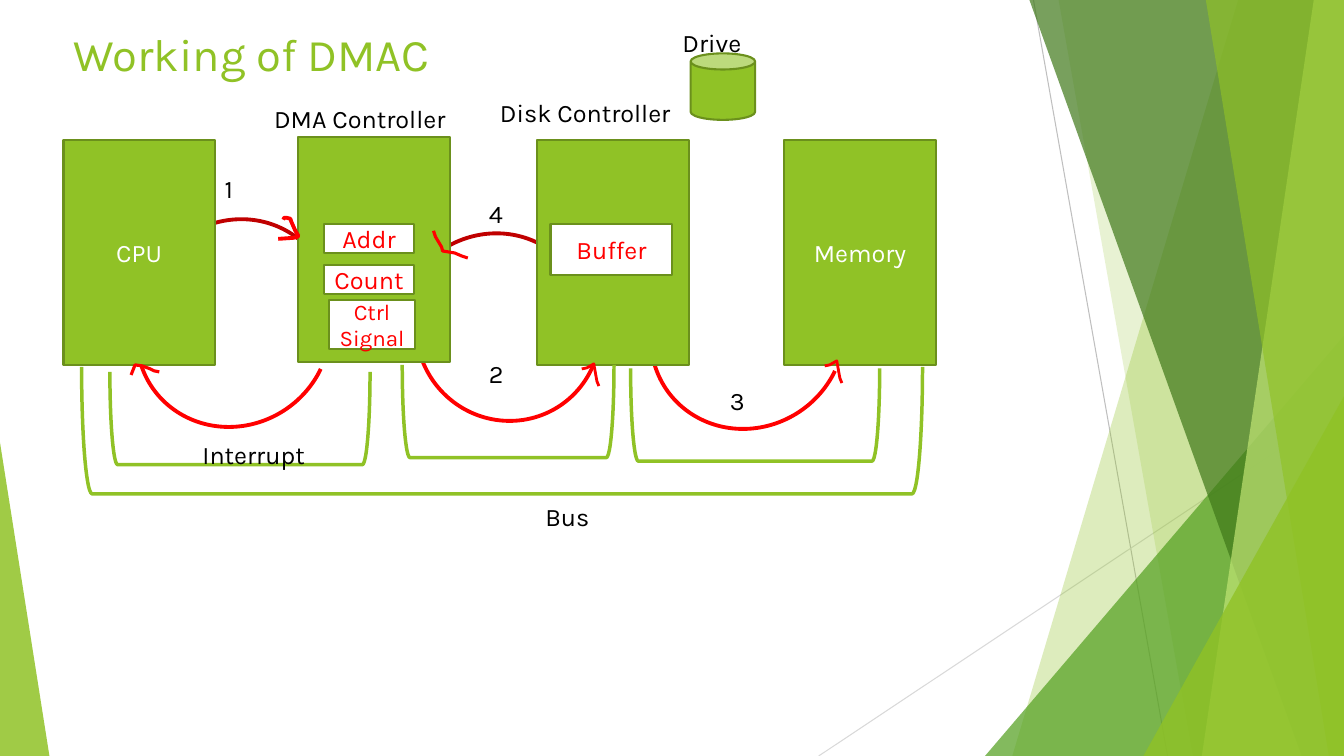
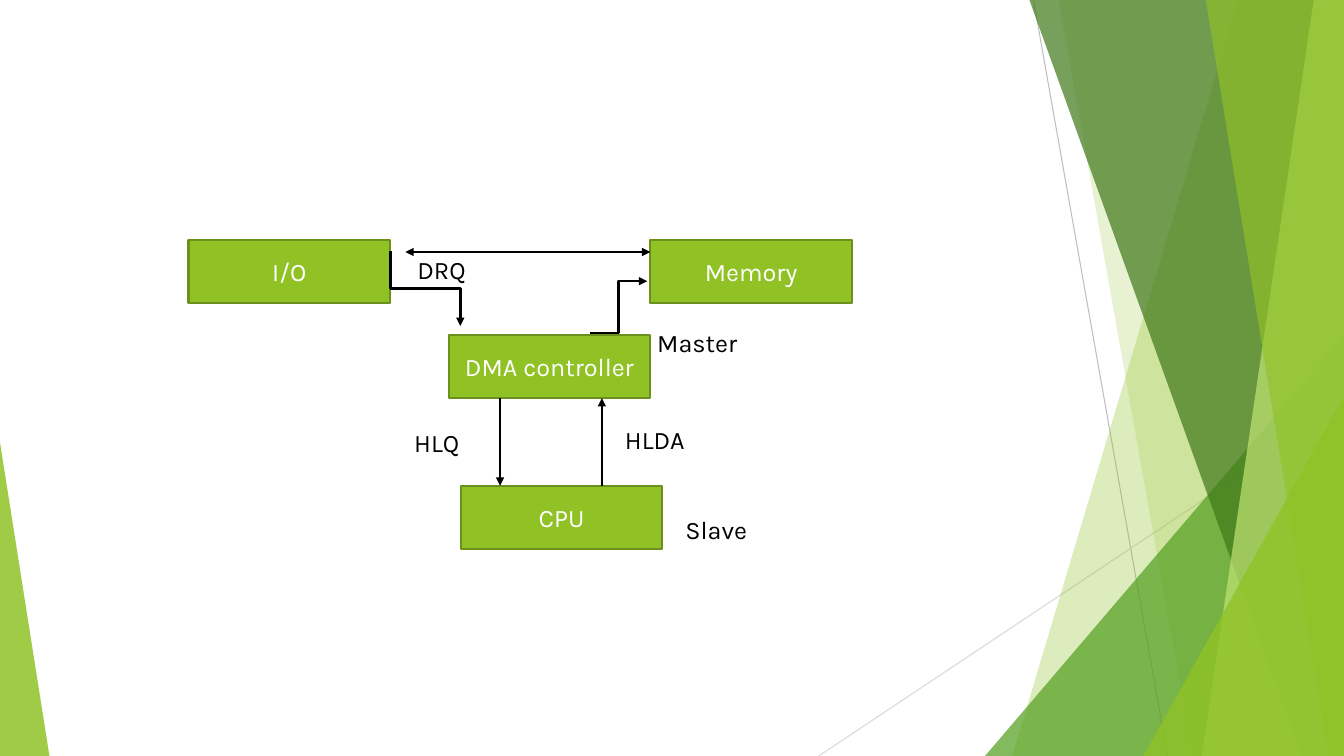
from lxml.etree import SubElement
from pptx import Presentation
from pptx.dml.color import RGBColor
from pptx.enum.shapes import MSO_CONNECTOR as CONN, MSO_SHAPE as SHAPE
from pptx.enum.text import MSO_ANCHOR as ANCHOR, PP_ALIGN as ALIGN
from pptx.oxml.ns import qn
from pptx.shapes.connector import Connector
from pptx.util import Inches, Pt

FONT = "Karla"
GREEN, EDGE = "90C226", "6B901C"
RED, DARK_RED = "FF0000", "C00000"
BLACK, WHITE = "000000", "FFFFFF"
W, H = 13.33, 7.5
rgb = RGBColor.from_string


def paint(sp, fill=None, line=None, width=1.5):
    if line:
        sp.line.color.rgb = rgb(line)
        sp.line.width = Pt(width)
    else:
        sp.line.fill.background()
    if isinstance(sp, Connector):
        SubElement(sp._element.spPr, qn("a:effectLst"))
        return
    sp.shadow.inherit = False
    if fill:
        sp.fill.solid()
        sp.fill.fore_color.rgb = rgb(fill)
    else:
        sp.fill.background()


def write(sp, text, color=BLACK, size=18, align=ALIGN.LEFT, anchor=ANCHOR.TOP):
    tf = sp.text_frame
    tf.word_wrap = True
    tf.vertical_anchor = anchor
    p = tf.paragraphs[0]
    p.alignment = align
    r = p.add_run()
    r.text = text
    r.font.name = FONT
    r.font.size = Pt(size)
    r.font.color.rgb = rgb(color)


prs = Presentation()
prs.slide_width, prs.slide_height = Inches(W), Inches(H)
blank = prs.slide_layouts[6]
work, signals = slides = [prs.slides.add_slide(blank) for _ in range(2)]

rays = [
    (10.25, 0, 11.58, H, "BFBFBF"),
    (W, 4.03, 8.12, H, "D9D9D9"),
]
# top x, bottom x, colour, opacity for bands; left, top, width, height, tip for triangles
bands = [
    ("band", (12.28, 10.04), GREEN, 30),
    ("band", (10.5, 11.83), GREEN, 20),
    ("triangle", (9.77, 3.33, 3.56, 4.17, 1), "54A021", 72),
    ("band", (10.21, 12.91), "3F7819", 70),
    ("band", (13.03, 11.92), "C0E474", 70),
    ("band", (11.96, 13.18), GREEN, 65),
    ("triangle", (11.34, 3.93, 1.99, 3.57, 1), GREEN, 80),
    ("triangle", (0, 4.39, 0.49, 3.11, 0), GREEN, 85),
]
for s in slides:
    for x1, y1, x2, y2, color in rays:
        cx = s.shapes.add_connector(CONN.STRAIGHT, *map(Inches, (x1, y1, x2, y2)))
        paint(cx, line=color, width=0.75)
    for kind, geometry, color, opacity in bands:
        if kind == "band":
            top, bottom = map(Inches, geometry)
            fb = s.shapes.build_freeform(top, 0)
            fb.add_line_segments([(Inches(W), 0), (Inches(W), Inches(H)), (bottom, Inches(H))])
            sp = fb.convert_to_shape()
        else:
            *frame, tip = geometry
            sp = s.shapes.add_shape(SHAPE.ISOSCELES_TRIANGLE, *map(Inches, frame))
            sp.adjustments[0] = tip
        paint(sp, color)
        clr = sp._element.spPr.find(qn("a:solidFill")).find(qn("a:srgbClr"))
        SubElement(clr, qn("a:alpha")).set("val", str(opacity * 1000))

arcs = [
    (3.9, 2.34, 1.95, 314.9, DARK_RED),
    (1.37, 2.2, 1.95, 314.9, DARK_RED),
    (1.34, 2.37, 1.95, 146.6, RED),
    (4.13, 2.33, 1.82, 146.6, RED),
    (6.44, 2.39, 1.95, 146.6, RED),
]
blocks = [
    (0.63, 1.39, 1.5, 2.23, "CPU", GREEN, 18),
    (2.96, 1.36, 1.5, 2.23, "", GREEN, 18),
    (5.33, 1.39, 1.5, 2.23, "", GREEN, 18),
    (7.78, 1.39, 1.5, 2.23, "Memory", GREEN, 18),
    (3.21, 2.22, 0.9, 0.29, "Addr", WHITE, 18),
    (3.21, 2.63, 0.9, 0.29, "Count", WHITE, 18),
    (3.26, 2.98, 0.86, 0.48, "Ctrl Signal", WHITE, 16),
    (5.46, 2.22, 1.21, 0.51, "Buffer", WHITE, 18),
]
chip_blocks = [
    (1.87, 2.38, 2, 0.63, "I/O", GREEN, 18),
    (6.45, 2.38, 2, 0.63, "Memory", GREEN, 18),
    (4.45, 3.32, 2, 0.63, "DMA controller", GREEN, 18),
    (4.57, 4.82, 2, 0.63, "CPU", GREEN, 18),
]
brackets = [
    (1.92, 2.86, 0.92, 2.58),
    (4.58, 3.03, 0.92, 2.1),
    (7.03, 2.88, 0.92, 2.47),
    (4.35, 0.1, 1.26, 8.34),
]
work_labels = [
    (2.62, 0.98, 2.24, "DMA Controller"),
    (4.86, 0.92, 2.24, "Disk Controller"),
    (6.67, 0.22, 2.24, "Drive"),
    (1.91, 4.31, 1.81, "Interrupt"),
    (2.13, 1.67, 0.59, "1"),
    (4.75, 3.51, 0.59, "2"),
    (7.14, 3.77, 0.59, "3"),
    (4.75, 1.92, 0.59, "4"),
    (5.31, 4.92, 1.81, "Bus"),
]
signal_labels = [
    (4.04, 2.47, 1.41, "DRQ"),
    (4.01, 4.19, 1.51, "HLQ"),
    (6.1, 4.16, 1.51, "HLDA"),
    (6.7, 5.05, 1.51, "Slave"),
    (6.42, 3.2, 1.51, "Master"),
]
hook = [(0, 0.05), (0.05, 0.04), (0.12, 0), (0.15, 0.17), (0.17, 0.22)]
tips = [
    (2.76, 2.16, 2.75, [(0, 0.21), (0.15, 0.2), (0.19, 0.19), (0.2, 0.18), (0.17, 0.13),
                        (0.13, 0.04), (0.12, 0.01), (0.08, 0), (0.06, 0), (0.05, 0.02)]),
    (5.77, 3.61, 2, hook),
    (8.18, 3.58, 2, hook),
    (4.3, 2.29, 2.25, [(0, 0), (0.02, 0.06), (0.08, 0.16), (0.09, 0.2), (0.21, 0.22),
                       (0.28, 0.25), (0.34, 0.27)]),
    (1.3, 3.62, 2.25, [(0, 0.1), (0.02, 0.05), (0.04, 0), (0.11, 0.01), (0.19, 0.04),
                       (0.23, 0.06), (0.28, 0.07)]),
]

for x, y, w, turn, color in arcs:
    sp = work.shapes.add_shape(SHAPE.ARC, *map(Inches, (x, y, w, 1.85)))
    sp.adjustments[0], sp.adjustments[1] = 141.75, 9.769
    sp.rotation = turn
    paint(sp, line=color, width=2.75)

title = work.shapes.add_textbox(*map(Inches, (0.63, 0.21, 9.4, 0.66)))
write(title, "Working of DMAC", GREEN, 32.4)

for s, items in ((work, blocks), (signals, chip_blocks)):
    for x, y, w, h, text, fill, size in items:
        sp = s.shapes.add_shape(SHAPE.RECTANGLE, *map(Inches, (x, y, w, h)))
        paint(sp, fill, EDGE)
        if text:
            color = WHITE if fill == GREEN else RED
            write(sp, text, color, size, ALIGN.CENTER, ANCHOR.MIDDLE)

for frame in brackets:
    sp = work.shapes.add_shape(SHAPE.LEFT_BRACKET, *map(Inches, frame))
    sp.rotation = 270
    paint(sp, line=GREEN, width=2.5)

drive = work.shapes.add_shape(SHAPE.CAN, *map(Inches, (6.85, 0.53, 0.64, 0.66)))
paint(drive, GREEN, EDGE)

for x, y, width, points in tips:
    (x0, y0), *rest = [(Inches(x + dx), Inches(y + dy)) for dx, dy in points]
    fb = work.shapes.build_freeform(x0, y0)
    fb.add_line_segments(rest, close=False)
    paint(fb.convert_to_shape(), line=RED, width=width)

for s, items in ((work, work_labels), (signals, signal_labels)):
    for x, y, w, text in items:
        write(s.shapes.add_textbox(*map(Inches, (x, y, w, 0.4))), text)

arrows = [
    (CONN.ELBOW, (4.59, 2.52, 3.85, 3.21), 1.75, 270, ["tailEnd"]),
    (CONN.STRAIGHT, (4.96, 3.95, 4.96, 4.82), 1.5, 0, ["tailEnd"]),
    (CONN.STRAIGHT, (5.97, 4.82, 5.97, 3.95), 1.5, 0, ["tailEnd"]),
    (CONN.ELBOW, (5.85, 3.3, 6.42, 2.79), 1.5, 0, ["tailEnd"]),
    (CONN.STRAIGHT, (4.02, 2.5, 6.45, 2.5), 1.75, 0, ["headEnd", "tailEnd"]),
]
for kind, ends, width, turn, heads in arrows:
    cx = signals.shapes.add_connector(kind, *map(Inches, ends))
    paint(cx, line=BLACK, width=width)
    spPr = cx._element.spPr
    if turn:
        spPr.find(qn("a:xfrm")).set("rot", str(turn * 60000))
    for head in heads:
        SubElement(spPr.find(qn("a:ln")), qn("a:" + head)).set("type", "triangle")

prs.save("out.pptx")
